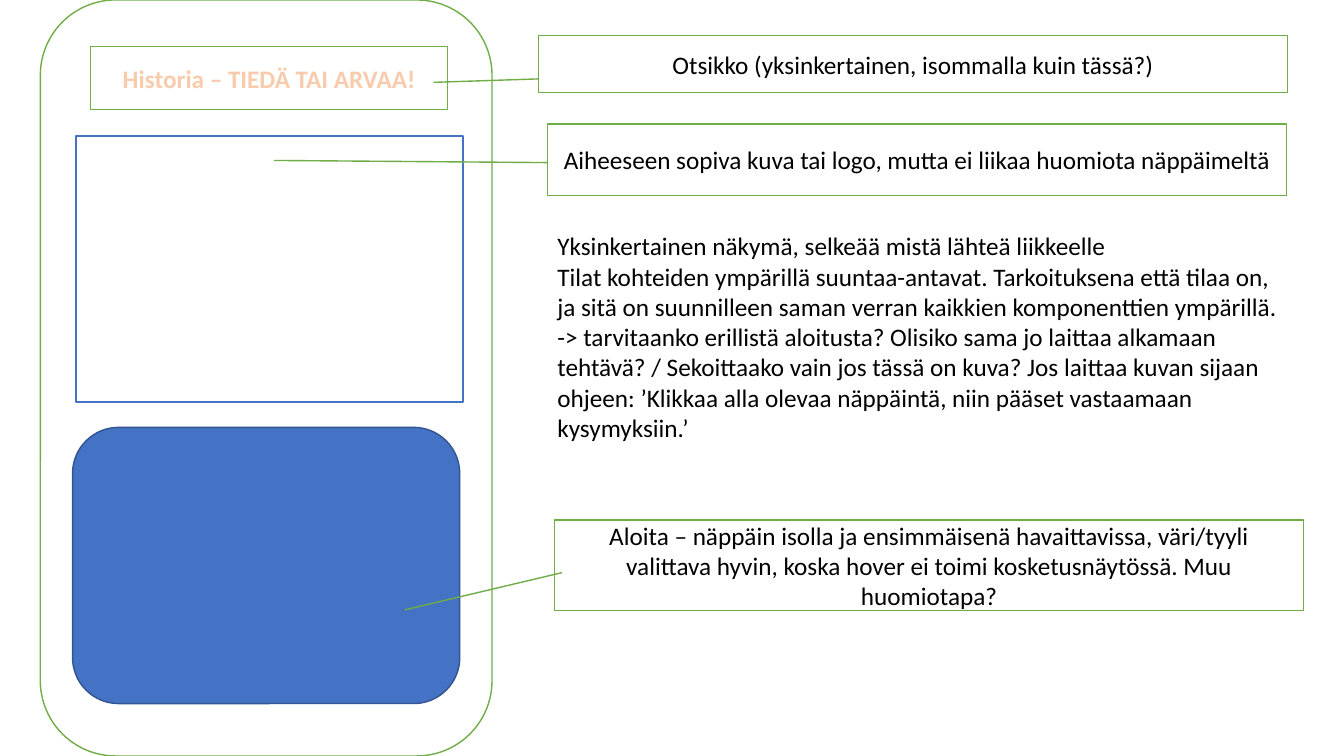
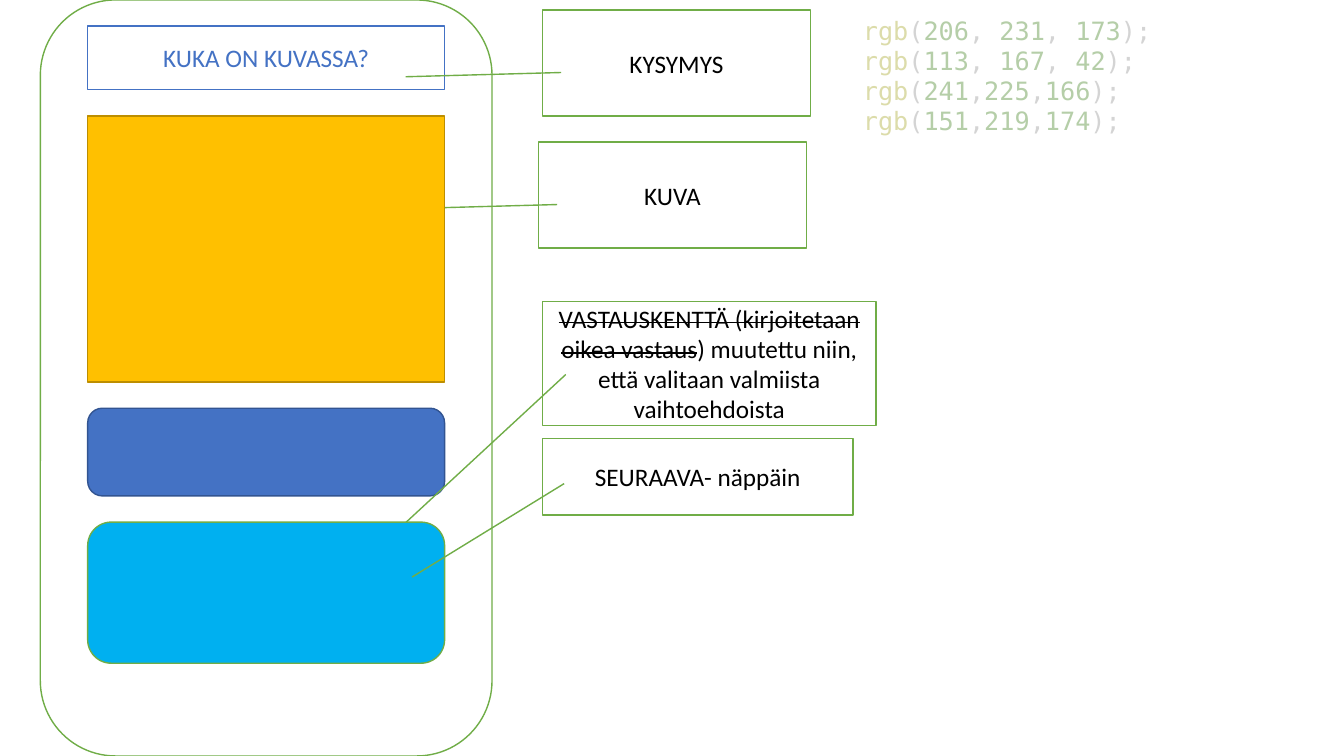
from dataclasses import dataclass
from itertools import accumulate, groupby

from lxml.etree import SubElement
from pptx import Presentation
from pptx.dml.color import RGBColor
from pptx.enum.shapes import MSO_SHAPE
from pptx.enum.text import MSO_ANCHOR, MSO_AUTO_SIZE, PP_ALIGN
from pptx.oxml.ns import qn
from pptx.util import Inches, Pt

COLORS = {
    "white": "FFFFFF",
    "black": "000000",
    "green": "70AD47",
    "blue": "4472C4",
    "dark blue": "325491",
    "amber": "FFC000",
    "dark amber": "BD8E00",
    "sky": "00B0F0",
    "peach": "F8CBAD",
    "orange": "ED7D31",
    "code name": "DCDCAA",
    "code number": "B5CEA8",
    "code mark": "D4D4D4",
}
BODY_FONT = {"name": "Calibri", "size": Pt(18)}
TITLE_FONT = {**BODY_FONT, "bold": True}
CODE_FONT = {"name": "DejaVu Sans Mono", "size": Pt(18)}
BOX_FRAME = {"word_wrap": True, "vertical_anchor": MSO_ANCHOR.MIDDLE}
NOTE_FRAME = {"word_wrap": True, "auto_size": MSO_AUTO_SIZE.SHAPE_TO_FIT_TEXT}

PART_GAP = 0.26
PART_LEFT, PART_WIDTH = 0.87, 3.54
TITLE_HEIGHT, PICTURE_HEIGHT = 0.63, 2.64


@dataclass(frozen=True)
class Run:
    """A stretch of text in one style."""
    text: str
    color: str = "black"
    strike: bool = False
    outline: str = ""


@dataclass(frozen=True)
class Box:
    """A preset shape with optional centred text."""
    left: float
    top: float
    width: float
    height: float
    fill: str = "white"
    line: str = "green"
    runs: tuple[Run, ...] = ()
    kind: MSO_SHAPE = MSO_SHAPE.RECTANGLE
    adjustments: tuple[float, ...] = ()
    weight: float = 1
    font: tuple = tuple(BODY_FONT.items())


@dataclass(frozen=True)
class Note:
    """Free text without a frame."""
    left: float
    top: float
    width: float
    height: float
    paragraphs: tuple[tuple[Run, ...], ...]
    font: tuple = tuple(BODY_FONT.items())


def color_of(name: str) -> RGBColor:
    """Look up a colour by name."""
    return RGBColor.from_string(COLORS[name])


def apply_format(target, values) -> None:
    """Set each named attribute on the target."""
    for name, value in dict(values).items():
        setattr(target, name, value)


def callout(left: float, top: float, width: float, height: float,
            pointer: tuple[float, ...], *runs: Run) -> Box:
    """Describe an explanation box whose line points into the phone."""
    return Box(left, top, width, height, runs=runs,
               kind=MSO_SHAPE.LINE_CALLOUT_1, adjustments=pointer)


def phone_part(top: float, height: float, **look) -> Box:
    """Describe a part in the phone's column."""
    return Box(PART_LEFT, top, PART_WIDTH, height, **look)


def code_color(character: str) -> str:
    """Choose the syntax colour of a character."""
    if character.isalpha():
        return "code name"
    return "code number" if character.isdigit() else "code mark"


def code_runs(code: str) -> tuple[Run, ...]:
    """Split code into runs of one syntax colour."""
    return tuple(Run("".join(characters), color)
                 for color, characters in groupby(code, code_color))


def write_runs(paragraph, runs: tuple[Run, ...], font: tuple) -> None:
    """Write styled runs into a paragraph."""
    for item in runs:
        run = paragraph.add_run()
        run.text = item.text
        apply_format(run.font, font)
        run.font.color.rgb = color_of(item.color)
        properties = run._r.get_or_add_rPr()
        if item.strike:
            properties.set("strike", "sngStrike")
        if item.outline:
            outline = SubElement(properties, qn("a:ln"), w=str(Pt(1.75)))
            fill = SubElement(outline, qn("a:solidFill"))
            SubElement(fill, qn("a:srgbClr"), val=COLORS[item.outline])
            properties.insert(0, outline)


def draw_box(slide, box: Box) -> None:
    """Draw a box or a callout."""
    shape = slide.shapes.add_shape(
        box.kind, *map(Inches, (box.left, box.top, box.width, box.height)))
    for index, value in enumerate(box.adjustments):
        shape.adjustments[index] = value
    shape.shadow.inherit = False
    shape.fill.solid()
    shape.fill.fore_color.rgb = color_of(box.fill)
    shape.line.color.rgb = color_of(box.line)
    shape.line.width = Pt(box.weight)
    if box.runs:
        apply_format(shape.text_frame, BOX_FRAME)
        paragraph = shape.text_frame.paragraphs[0]
        paragraph.alignment = PP_ALIGN.CENTER
        write_runs(paragraph, box.runs, box.font)


def draw_note(slide, note: Note) -> None:
    """Draw a free text box."""
    shape = slide.shapes.add_textbox(
        *map(Inches, (note.left, note.top, note.width, note.height)))
    frame = shape.text_frame
    apply_format(frame, NOTE_FRAME)
    for index, runs in enumerate(note.paragraphs):
        paragraph = frame.add_paragraph() if index else frame.paragraphs[0]
        write_runs(paragraph, runs, note.font)


def add_phone_slide(presentation, items: tuple) -> None:
    """Add a slide with the phone outline and the given items."""
    slide = presentation.slides.add_slide(presentation.slide_layouts[6])
    for item in (PHONE, *items):
        draw = draw_note if isinstance(item, Note) else draw_box
        draw(slide, item)


ROUNDED = MSO_SHAPE.ROUNDED_RECTANGLE
PHONE = Box(0.4, 0, 4.48, 7.5, kind=ROUNDED)

START_VIEW = (
    Box(0.72, 4.24, 3.84, 2.74, "blue", "dark blue", kind=ROUNDED),
    callout(5.5, 5.16, 7.43, 0.9, (0.58, 0.01, 0.99, -0.2),
            Run("Aloita – näppäin isolla ja ensimmäisenä havaittavissa, "
                "väri/tyyli valittava hyvin, koska hover ei toimi "
                "kosketusnäytössä. Muu huomiotapa?")),
    Box(0.9, 0.46, PART_WIDTH, TITLE_HEIGHT,
        runs=(Run("Historia – TIEDÄ TAI ARVAA!", "peach", outline="orange"),),
        font=tuple(TITLE_FONT.items())),
    callout(5.34, 0.35, 7.43, 0.57, (0.76, 0, 0.82, -0.14),
            Run("Otsikko (yksinkertainen, isommalla kuin tässä?)")),
    Note(5.43, 2.24, 7.36, 2.22, (
        (Run("Yksinkertainen näkymä, selkeää mistä lähteä liikkeelle"),),
        (Run("Tilat kohteiden ympärillä suuntaa-antavat. Tarkoituksena että "
             "tilaa on, ja sitä on suunnilleen saman verran kaikkien "
             "komponenttien ympärillä. -> tarvitaanko erillistä aloitusta? "
             "Olisiko sama jo laittaa alkamaan tehtävä? / Sekoittaako vain "
             "jos tässä on kuva? Jos laittaa kuvan sijaan ohjeen: ’Klikkaa "
             "alla olevaa näppäintä, niin pääset vastaamaan "
             "kysymyksiin.’"),),
    )),
    Box(0.75, 1.35, 3.84, PICTURE_HEIGHT, line="blue", weight=1.5),
    callout(5.43, 1.23, 7.33, 0.71, (0.54, 0, 0.51, -0.37),
            Run("Aiheeseen sopiva kuva tai logo, mutta ei liikaa huomiota "
                "näppäimeltä")),
)

PART_HEIGHTS = (TITLE_HEIGHT, PICTURE_HEIGHT, 0.87, 1.4)
question_top, picture_top, answer_top, next_top = accumulate(
    PART_HEIGHTS[:-1], lambda top, height: top + height + PART_GAP,
    initial=PART_GAP)
question_height, picture_height, answer_height, next_height = PART_HEIGHTS
SHORT_POINTER = (0.59, 0.07, 0.63, -0.51)
LONG_POINTER = (0.59, 0.07, 1.81, -0.42)

QUESTION_VIEW = (
    phone_part(question_top, question_height, line="blue",
               runs=(Run("KUKA ON KUVASSA?", "blue"),)),
    callout(5.38, 0.1, 2.66, 1.05, SHORT_POINTER, Run("KYSYMYS")),
    callout(5.34, 1.41, 2.66, 1.05, SHORT_POINTER, Run("KUVA")),
    phone_part(picture_top, picture_height, fill="amber", line="dark amber"),
    phone_part(answer_top, answer_height, fill="blue", line="dark blue",
               kind=ROUNDED),
    callout(5.38, 2.99, 3.31, 1.23, LONG_POINTER,
            Run("VASTAUSKENTTÄ (kirjoitetaan oikea vastaus", strike=True),
            Run(") muutettu niin, että valitaan valmiista vaihtoehdoista")),
    phone_part(next_top, next_height, fill="sky", kind=ROUNDED),
    callout(5.38, 4.35, 3.08, 0.76, LONG_POINTER, Run("SEURAAVA- näppäin")),
    Note(8.46, 0.1, 3.66, 1.92,
         tuple(map(code_runs, ("rgb(206, 231, 173); rgb(113, 167, 42);",
                               "rgb(241,225,166);",
                               "rgb(151,219,174);"))),
         font=tuple(CODE_FONT.items())),
)

presentation = Presentation()
apply_format(presentation, {"slide_width": Inches(13.33),
                            "slide_height": Inches(7.5)})
for view in (START_VIEW, QUESTION_VIEW):
    add_phone_slide(presentation, view)
presentation.save("out.pptx")
